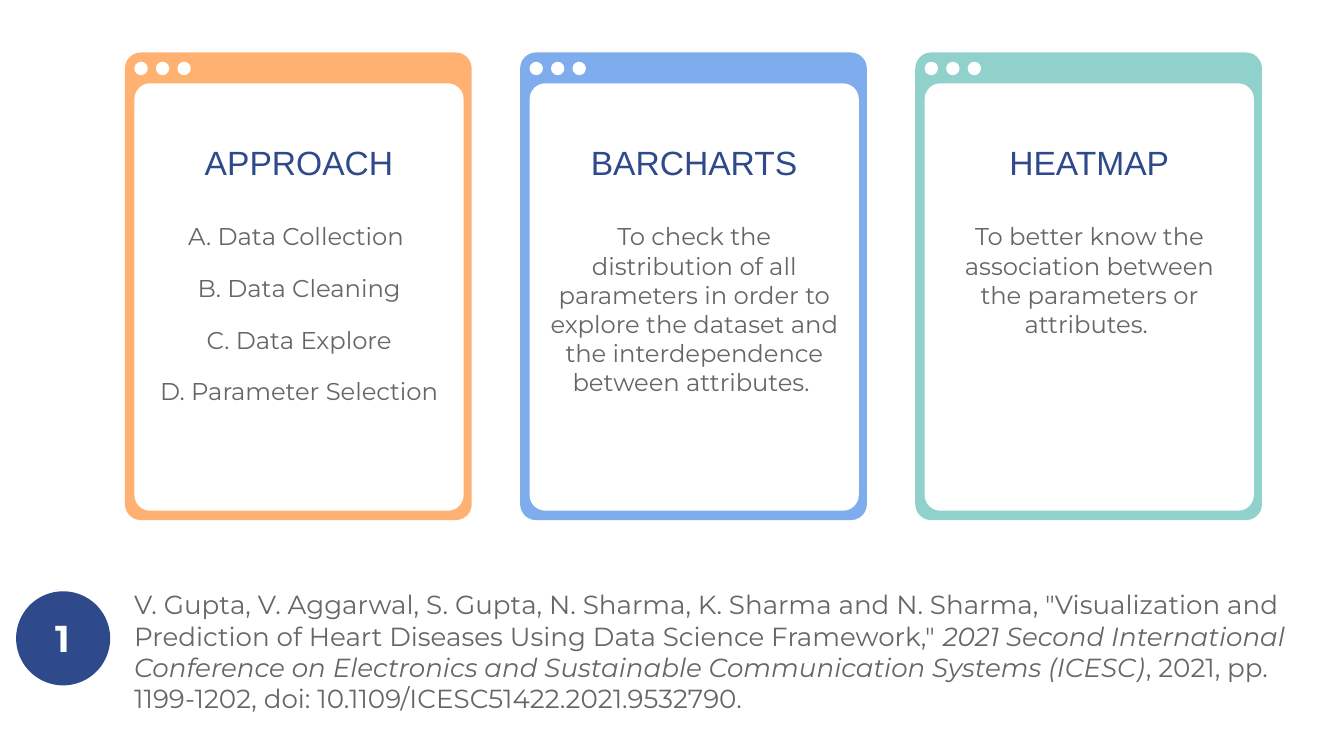
from pptx import Presentation
from pptx.dml.color import RGBColor
from pptx.enum.shapes import MSO_SHAPE as Shape
from pptx.enum.text import MSO_ANCHOR as Anchor, PP_ALIGN as Align
from pptx.util import Inches, Pt

NAVY, GREY, WHITE = "2F4A8A", "666666", "FFFFFF"
CARD_LEFT, CARD_PITCH = 0.93, 2.94
CARDS = [
    ("FFB172", "APPROACH", ["A. Data Collection ", "B. Data Cleaning",
                            "C. Data Explore", "D. Parameter Selection"]),
    ("7EACEC", "BARCHARTS", ["To check the distribution of all parameters in order to explore "
                             "the dataset and the interdependence between attributes. "]),
    ("90D1CB", "HEATMAP", ["To better know the association between the parameters or attributes. "]),
]
CITATION = [
    ('V. Gupta, V. Aggarwal, S. Gupta, N. Sharma, K. Sharma and N. Sharma, "Visualization and '
     'Prediction of Heart Diseases Using Data Science Framework," ', False),
    ("2021 Second International Conference on Electronics and Sustainable Communication "
     "Systems (ICESC)", True),
    (", 2021, pp. 1199-1202, doi: 10.1109/ICESC51422.2021.9532790.", False),
]


def color(hex_code):
    """Turn a hex string into a colour."""
    return RGBColor.from_string(hex_code)


def add_filled(shapes, preset, box, fill, corner=None):
    """Add a preset shape without outline or shadow."""
    shape = shapes.add_shape(preset, *map(Inches, box))
    shape.shadow.inherit = False
    shape.fill.solid()
    shape.fill.fore_color.rgb = color(fill)
    shape.line.fill.background()
    if corner is not None:
        shape.adjustments[0] = corner


def add_text(slide, box, paragraphs, size, font="Montserrat", ink=GREY, bold=False,
             align=Align.CENTER, anchor=Anchor.TOP, gap=0):
    """Add a text box from paragraphs, each a list of (text, italic) runs."""
    frame = slide.shapes.add_textbox(*map(Inches, box)).text_frame
    frame.word_wrap = True
    frame.vertical_anchor = anchor
    frame.margin_left = frame.margin_right = Inches(0.1)
    frame.margin_top = frame.margin_bottom = Inches(0.1)
    for index, runs in enumerate(paragraphs):
        paragraph = frame.add_paragraph() if index else frame.paragraphs[0]
        paragraph.alignment = align
        paragraph.space_before = Pt(gap if index else 0)
        for text, italic in runs:
            run = paragraph.add_run()
            run.text = text
            run.font.name = font
            run.font.size = Pt(size)
            run.font.bold = bold
            run.font.italic = italic
            run.font.color.rgb = color(ink)


def add_window(slide, left, fill):
    """Draw a browser window with three buttons as one group."""
    window = slide.shapes.add_group_shape().shapes
    add_filled(window, Shape.ROUNDED_RECTANGLE, (left, 0.39, 2.58, 3.48), fill, 0.046)
    add_filled(window, Shape.ROUNDED_RECTANGLE, (left + 0.07, 0.62, 2.45, 3.18), WHITE, 0.048)
    for button in range(3):
        add_filled(window, Shape.OVAL, (left + 0.07 + button * 0.16, 0.46, 0.1, 0.1), WHITE)


def add_card(slide, left, fill, heading, lines):
    """Add a window with its heading and body."""
    add_window(slide, left, fill)
    add_text(slide, (left + 0.11, 0.95, 2.37, 0.51), [[(heading, False)]], 18,
             font="Arial", ink=NAVY, anchor=Anchor.MIDDLE)
    add_text(slide, (left + 0.11, 1.55, 2.37, 2.03),
             [[(line, False)] for line in lines], 13, gap=12)


def add_reference(slide):
    """Add the numbered citation."""
    add_text(slide, (0.9, 4.28, 8.98, 1.2), [CITATION], 14, align=Align.LEFT)
    add_filled(slide.shapes, Shape.OVAL, (0.12, 4.4, 0.7, 0.7), NAVY)
    add_text(slide, (0.16, 4.48, 0.61, 0.54), [[("1", False)]], 20, ink=WHITE, bold=True)


def main():
    """Build the slide and save it."""
    deck = Presentation()
    deck.slide_width, deck.slide_height = Inches(10), Inches(10 * 9 / 16)
    slide = deck.slides.add_slide(deck.slide_layouts[6])
    add_reference(slide)
    for column, card in enumerate(CARDS):
        add_card(slide, CARD_LEFT + column * CARD_PITCH, *card)
    deck.save("out.pptx")


if __name__ == "__main__":
    main()
